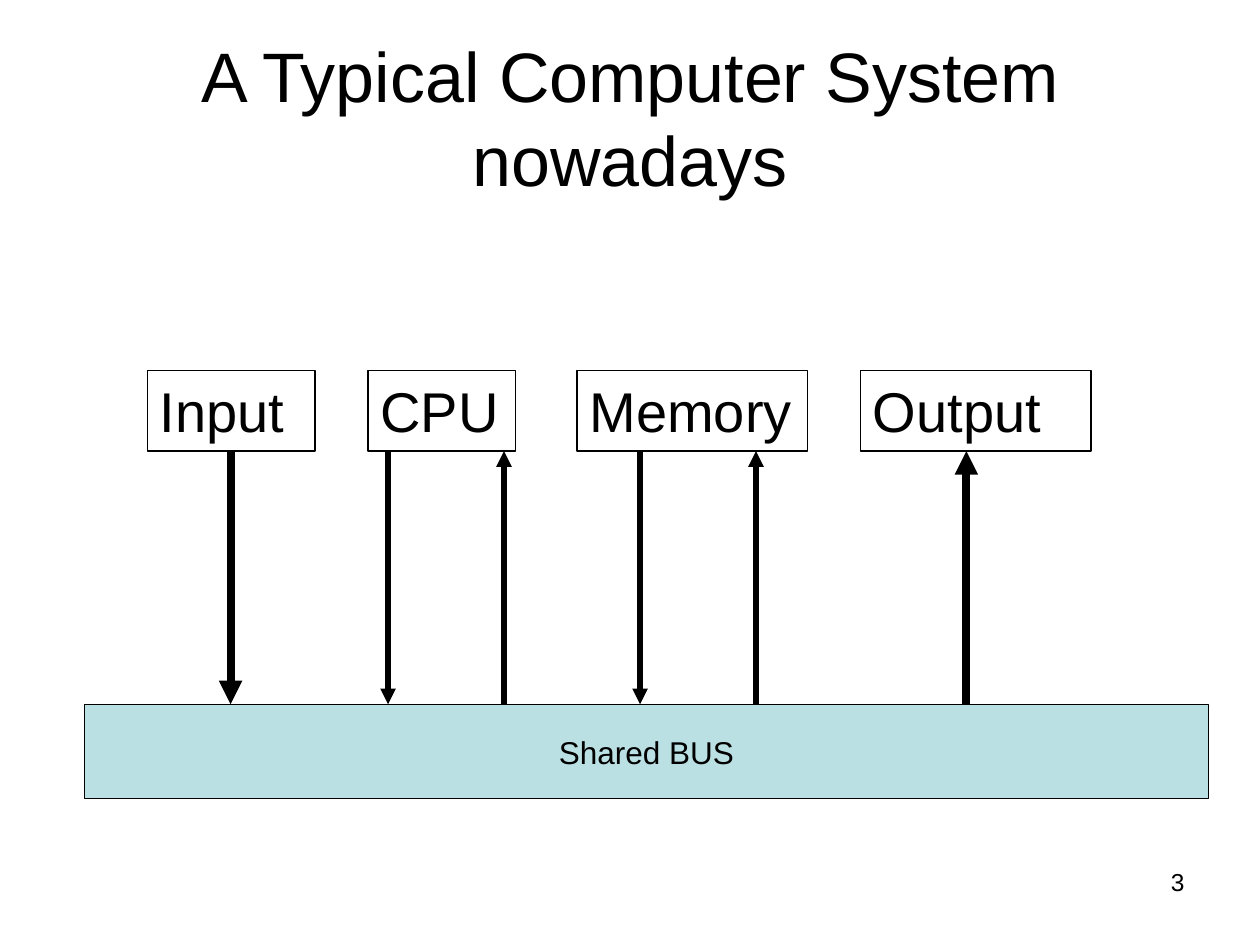
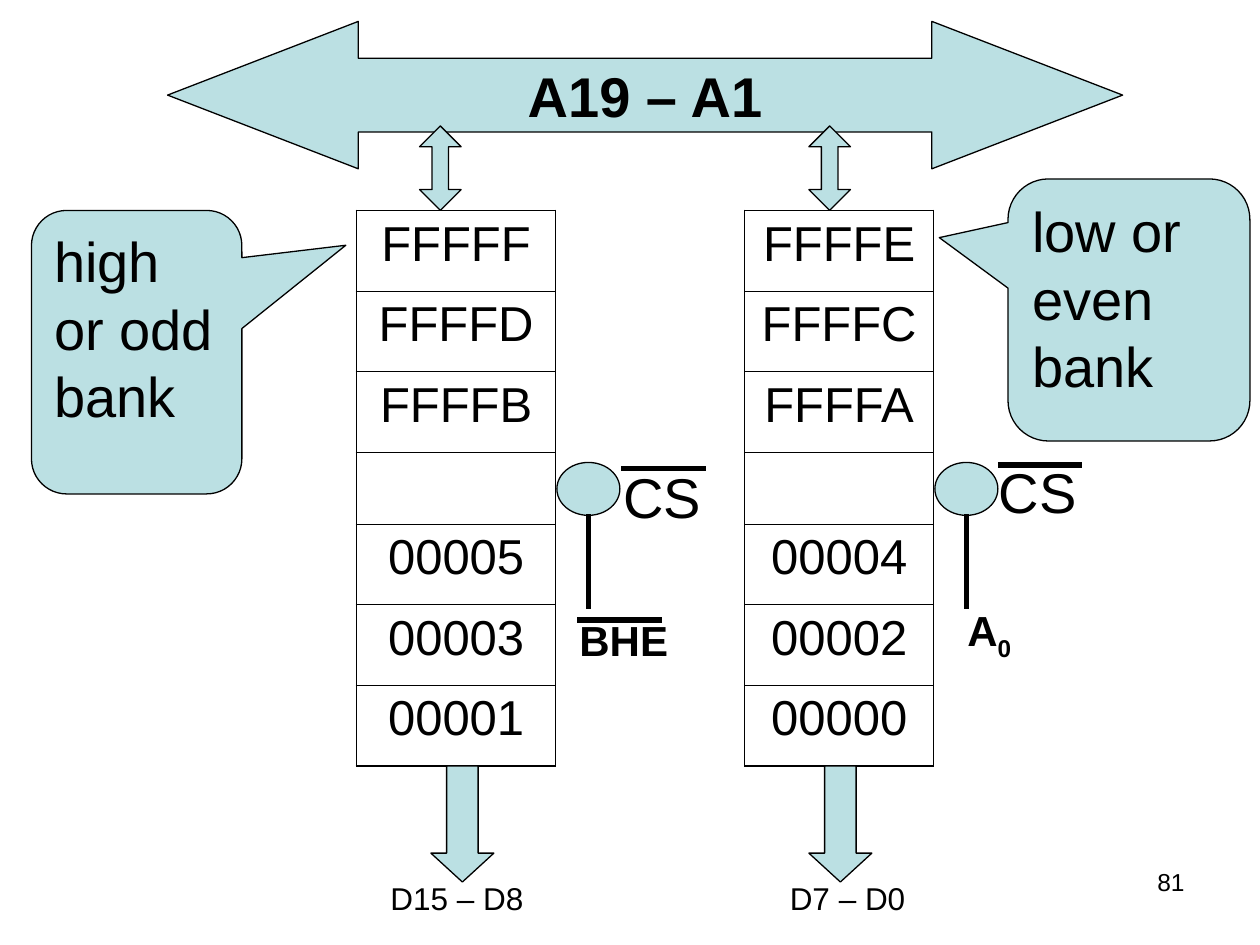
"""Build two slides on a shared-bus computer and its odd and even memory banks."""
from dataclasses import dataclass

from lxml import etree
from pptx import Presentation
from pptx.dml.color import RGBColor
from pptx.enum.shapes import MSO_CONNECTOR, MSO_SHAPE
from pptx.enum.text import MSO_ANCHOR, PP_ALIGN
from pptx.oxml.ns import qn
from pptx.util import Inches, Pt

LEFT, CENTER, RIGHT = PP_ALIGN.LEFT, PP_ALIGN.CENTER, PP_ALIGN.RIGHT
TOP, MIDDLE = MSO_ANCHOR.TOP, MSO_ANCHOR.MIDDLE
RECTANGLE, CALLOUT = MSO_SHAPE.RECTANGLE, MSO_SHAPE.ROUNDED_RECTANGULAR_CALLOUT
DOWN_ARROW, UP_DOWN_ARROW = MSO_SHAPE.DOWN_ARROW, MSO_SHAPE.UP_DOWN_ARROW
WIDE_ARROW, NODE = MSO_SHAPE.LEFT_RIGHT_ARROW, MSO_SHAPE.FLOWCHART_CONNECTOR
STRAIGHT = MSO_CONNECTOR.STRAIGHT


@dataclass(frozen=True)
class Theme:
    font: str = "Arial"
    ink: str = "000000"
    accent: str = "BBE0E3"
    title: int = 40
    large: int = 32
    cell: int = 28
    signal: int = 24
    small: int = 18
    footer: int = 14
    outline: float = 0.75
    wire: float = 3
    thick_wire: float = 4.5
    grid: float = 0.45
    frame: float = 1.08


THEME = Theme()
INK = RGBColor.from_string(THEME.ink)
ACCENT = RGBColor.from_string(THEME.accent)

TITLE = ["A Typical Computer System", "nowadays"]
UNIT_TOP, UNIT_HEIGHT, UNIT_BOTTOM = 2.94, 0.64, 3.58
BUS = (0.67, 5.59, 8.92, 0.75)
UNITS = [
    {"name": "Input", "left": 1.17, "width": 1.33, "to_bus": 1.83},
    {"name": "CPU", "left": 2.92, "width": 1.17, "to_bus": 3.08, "from_bus": 4},
    {"name": "Memory", "left": 4.58, "width": 1.83, "to_bus": 5.08, "from_bus": 6},
    {"name": "Output", "left": 6.83, "width": 1.83, "from_bus": 7.67},
]

ADDRESS_BUS = ("A19 – A1", (1.33, 0.17, 7.58, 1.17))
TABLE_LEFT, TABLE_TOP = 2.83, 1.67
COLUMN_WIDTHS = [1.58, 1.5, 1.5]
ROW_HEIGHTS = [0.64] * 3 + [0.57] + [0.64] * 3
BANKS = [
    {
        "cells": ["FFFFF", "FFFFD", "FFFFB", "", "00005", "00003", "00001"],
        "column": 0,
        "address_left": 3.33,
        "data_left": 3.42,
        "data": ("D15 – D8", (3, 6.93, 1.33, 0.4)),
        "note": ("high or odd bank", (0.25, 1.67, 1.67, 2.25), (0.994, -0.377, 0.167)),
        "node_left": 4.42,
        "select": (4.85, 3.62, 1, 0.64),
        "enable": (["BHE"], (4.5, 4.83, 0.92, 0.5)),
        "bars": [(4.93, 3.72), (4.58, 4.92)],
    },
    {
        "cells": ["FFFFE", "FFFFC", "FFFFA", "", "00004", "00002", "00000"],
        "column": 2,
        "address_left": 6.42,
        "data_left": 6.42,
        "data": ("D7 – D0", (6.17, 6.93, 1.17, 0.4)),
        "note": ("low or even bank", (8, 1.42, 1.92, 2.08), (-0.784, -0.276, 0.167)),
        "node_left": 7.42,
        "select": (7.83, 3.58, 1, 0.64),
        "enable": (["A", "0"], (7.58, 4.75, 0.83, 0.56)),
        "bars": [(7.92, 3.69)],
    },
]
BAR_LENGTH = 0.67


def add_span(para, text, size, bold=False):
    span = para.add_run()
    span.text = text
    span.font.name = THEME.font
    span.font.size = Pt(size)
    span.font.bold = bold
    span.font.color.rgb = INK
    return span


def prepare(frame, align, anchor):
    frame.word_wrap = True
    frame.vertical_anchor = anchor
    para = frame.paragraphs[0]
    para.alignment = align
    return para


def add_label(page, area, text, size, align=LEFT, anchor=TOP):
    box = page.shapes.add_textbox(*map(Inches, area))
    para = prepare(box.text_frame, align, anchor)
    if text:
        add_span(para, text, size)
    return para


def add_figure(page, kind, area, fill=ACCENT, adjust=()):
    shape = page.shapes.add_shape(kind, *map(Inches, area))
    shape.shadow.inherit = False
    if fill is None:
        shape.fill.background()
    else:
        shape.fill.solid()
        shape.fill.fore_color.rgb = fill
    shape.line.color.rgb = INK
    shape.line.width = Pt(THEME.outline)
    for index, value in enumerate(adjust):
        shape.adjustments[index] = value
    return shape


def add_wire(page, start, end, width=THEME.wire, arrow=False):
    wire = page.shapes.add_connector(STRAIGHT, *map(Inches, start + end))
    wire.line.color.rgb = INK
    wire.line.width = Pt(width)
    if arrow:
        etree.SubElement(wire.line._get_or_add_ln(), qn("a:tailEnd"), type="triangle")
    etree.SubElement(wire._element.spPr, qn("a:effectLst"))


def set_borders(cell, widths):
    properties = cell._tc.get_or_add_tcPr()
    for side, width in zip("LRTB", widths):
        line = etree.SubElement(properties, qn(f"a:ln{side}"), w=str(Pt(width)))
        if width:
            paint = etree.SubElement(line, qn("a:solidFill"))
            etree.SubElement(paint, qn("a:srgbClr"), val=THEME.ink)
        else:
            etree.SubElement(line, qn("a:noFill"))


def add_page(deck, number):
    page = deck.slides.add_slide(deck.slide_layouts[6])
    add_label(page, (7.17, 6.83, 2.33, 0.52), str(number), THEME.footer, RIGHT)
    return page


def build_system(deck):
    page = add_page(deck, 3)
    para = add_label(page, (0.5, 0.3, 9, 1.25), "", THEME.title, CENTER, MIDDLE)
    for index, line in enumerate(TITLE):
        if index:
            para.add_line_break()
        add_span(para, line, THEME.title)

    for unit in UNITS:
        area = (unit["left"], UNIT_TOP, unit["width"], UNIT_HEIGHT)
        shape = add_figure(page, RECTANGLE, area, fill=None)
        add_span(prepare(shape.text_frame, LEFT, TOP), unit["name"], THEME.large)
        both_ways = "to_bus" in unit and "from_bus" in unit
        width = THEME.wire if both_ways else THEME.thick_wire
        if "to_bus" in unit:
            x = unit["to_bus"]
            add_wire(page, (x, UNIT_BOTTOM), (x, BUS[1]), width, arrow=True)
        if "from_bus" in unit:
            x = unit["from_bus"]
            add_wire(page, (x, BUS[1]), (x, UNIT_BOTTOM), width, arrow=True)

    bus = add_figure(page, RECTANGLE, BUS)
    add_span(prepare(bus.text_frame, CENTER, MIDDLE), "Shared BUS", THEME.small)


def add_bank_table(page):
    rows, columns = len(ROW_HEIGHTS), len(COLUMN_WIDTHS)
    area = (TABLE_LEFT, TABLE_TOP, sum(COLUMN_WIDTHS), sum(ROW_HEIGHTS))
    table = page.shapes.add_table(rows, columns, *map(Inches, area)).table
    table.first_row = table.horz_banding = False
    for column, width in zip(table.columns, COLUMN_WIDTHS):
        column.width = Inches(width)
    for row, height in zip(table.rows, ROW_HEIGHTS):
        row.height = Inches(height)

    texts = {bank["column"]: bank["cells"] for bank in BANKS}
    for r in range(rows):
        for c in range(columns):
            cell = table.cell(r, c)
            left = THEME.frame if c == 0 else THEME.grid
            right = THEME.frame if c == columns - 1 else THEME.grid
            above = below = 0
            if c in texts:
                above = THEME.frame if r == 0 else THEME.grid
                below = THEME.frame if r == rows - 1 else THEME.grid
            set_borders(cell, (left, right, above, below))
            cell.fill.background()
            if c in texts and texts[c][r]:
                para = cell.text_frame.paragraphs[0]
                para.alignment = CENTER
                add_span(para, texts[c][r], THEME.cell)


def add_bank(page, bank):
    data_area = (bank["data_left"], 6.08, 0.5, 0.92)
    add_figure(page, DOWN_ARROW, data_area, adjust=(0.5, 0.458))
    text, area = bank["data"]
    add_label(page, area, text, THEME.small)
    address_area = (bank["address_left"], 1, 0.33, 0.67)
    add_figure(page, UP_DOWN_ARROW, address_area, adjust=(0.5, 0.398))

    add_figure(page, NODE, (bank["node_left"], 3.67, 0.5, 0.42))
    x = bank["node_left"] + 0.25
    add_wire(page, (x, 4.08), (x, 4.83))
    (name, *subscripts), area = bank["enable"]
    para = add_label(page, area, "", THEME.signal)
    add_span(para, name, THEME.signal, bold=True)
    for subscript in subscripts:
        span = add_span(para, subscript, THEME.signal, bold=True)
        span.font._element.set("baseline", "-25000")

    text, area, adjust = bank["note"]
    note = add_figure(page, CALLOUT, area, adjust=adjust)
    add_span(prepare(note.text_frame, LEFT, TOP), text, THEME.large)
    add_label(page, bank["select"], "CS", THEME.large)
    for x, y in bank["bars"]:
        add_wire(page, (x, y), (x + BAR_LENGTH, y))


def build_banks(deck):
    page = add_page(deck, 81)
    add_bank_table(page)
    text, area = ADDRESS_BUS
    bus = add_figure(page, WIDE_ARROW, area, adjust=(0.5, 1.294))
    add_span(prepare(bus.text_frame, CENTER, MIDDLE), text, THEME.large, bold=True)
    for bank in BANKS:
        add_bank(page, bank)


def main():
    deck = Presentation()
    deck.slide_width, deck.slide_height = Inches(10), Inches(7.5)
    build_system(deck)
    build_banks(deck)
    deck.save("out.pptx")


if __name__ == "__main__":
    main()
